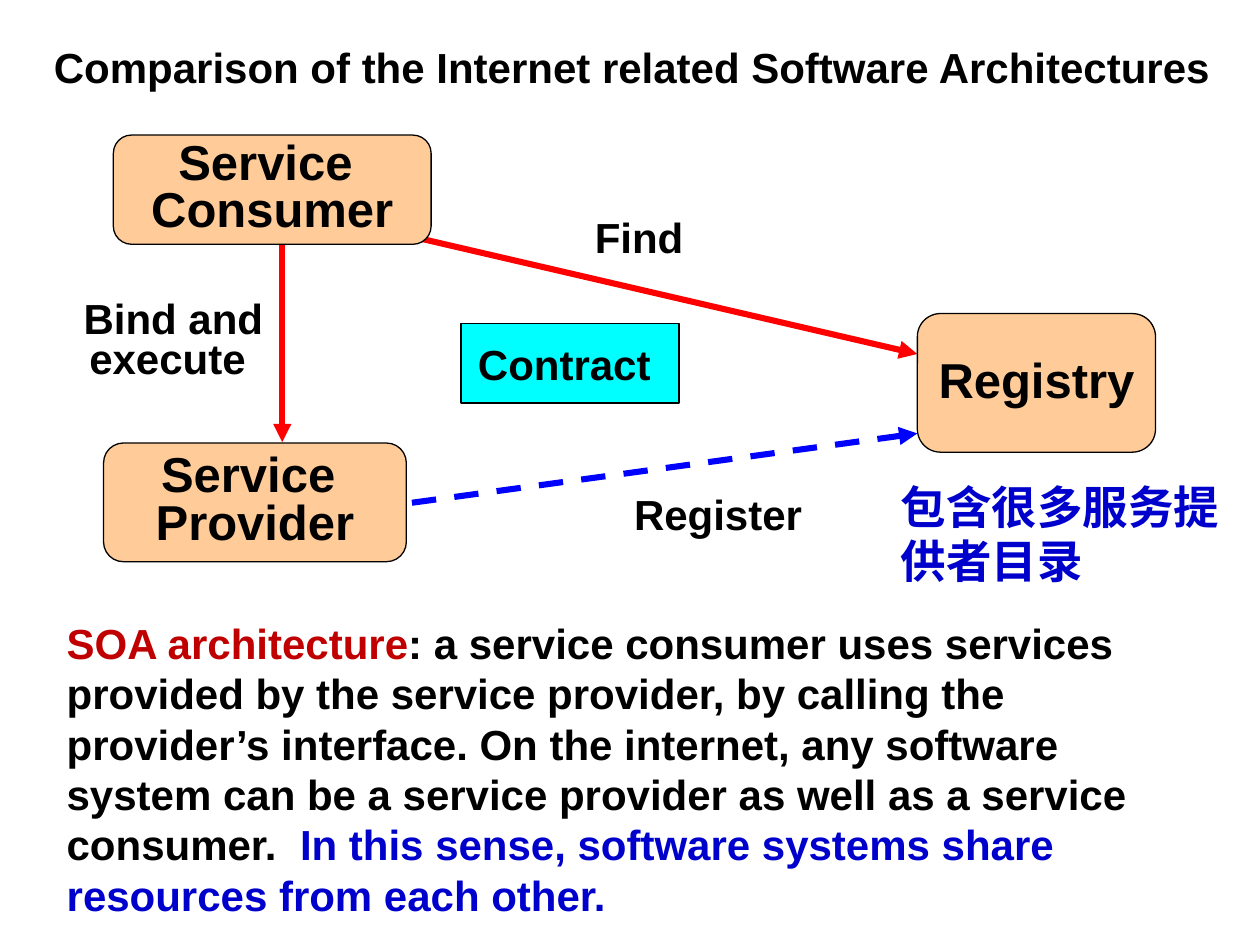
"""Build a slide showing the service-oriented architecture triangle."""
import pptx
import pptx.util
import pptx.dml.color
import pptx.enum.dml
import pptx.enum.shapes
import pptx.enum.text
import pptx.oxml
import pptx.oxml.ns
import lxml.etree

Pt = pptx.util.Pt
Shape = pptx.enum.shapes.MSO_SHAPE
Align = pptx.enum.text.PP_ALIGN
Anchor = pptx.enum.text.MSO_ANCHOR
qn = pptx.oxml.ns.qn

COLORS = {"black": "000000", "cyan": "00FFFF", "peach": "FFCC99", "red": "FF0000",
          "blue": "0000FF", "navy": "0000CC", "crimson": "C00000"}
LATIN, CHINESE = "Arial", "Noto Sans CJK SC"

CONTRACT = ("Contract ", (263.5, 185, 124.6, 45.4))
ARROWS = [
    ((229.7, 133.9), (524.2, 202.3), "red", False),
    ((235.4, 287.3), (524.2, 247.7), "blue", True),
    ((161.3, 133.9), (161.3, 252.7), "red", False),
]
LABELS = [
    ("Find ", (314.6, 117.4, 108, 36), 1),
    ("Register ", (348.5, 275.8, 130.3, 36), 1),
    ("Bind and execute ", (31, 169.2, 136.1, 53.3), 0.8),
]
ROLES = [
    (["Service ", "Consumer"], (64.8, 77.2, 181.6, 62.4), 0.8),
    (["Service ", "Provider"], (59.2, 253.2, 173, 67.8), 0.8),
    (["Registry"], (524.2, 179.2, 136.1, 79.2), 0.9),
]
REGISTRY_NOTE = ("包含很多服务提供者目录", (507.6, 270, 198.7, 69.8))
TITLE = ("Comparison of the Internet related Software Architectures", (22.3, 15.1, 677.5, 50.4))
SUMMARY = [
    ("SOA architecture", "crimson"),
    (": a service consumer uses services provided by the service provider, by calling "
     "the provider’s interface. On the internet, any software system can be a service "
     "provider as well as a service consumer.  ", "black"),
    ("In this sense, software systems share resources from each other.", "navy"),
]
SUMMARY_AREA = (31, 349.2, 635, 180)


def rgb(color):
    return pptx.dml.color.RGBColor.from_string(COLORS[color])


def style(paragraph, size=24, color="black", align=Align.CENTER, spacing=1, face=LATIN):
    paragraph.alignment = align
    paragraph.line_spacing = spacing
    font = paragraph.font
    font.size, font.bold, font.name = Pt(size), True, face
    if color:
        font.color.rgb = rgb(color)
    if face == CHINESE:
        defaults = paragraph._p.pPr.find(qn("a:defRPr"))
        lxml.etree.SubElement(defaults, qn("a:ea")).set("typeface", face)


def add_text(slide, text, area, **look):
    frame = slide.shapes.add_textbox(*map(Pt, area)).text_frame
    frame.word_wrap = True
    frame.text = text
    style(frame.paragraphs[0], **look)
    return frame


def add_box(slide, kind, lines, area, fill, **look):
    box = slide.shapes.add_shape(kind, *map(Pt, area))
    box.shadow.inherit = False
    box.fill.solid()
    box.fill.fore_color.rgb = rgb(fill)
    box.line.color.rgb = rgb("black")
    box.line.width = Pt(0.75)
    frame = box.text_frame
    frame.word_wrap = False
    frame.vertical_anchor = Anchor.MIDDLE
    frame.text = "\n".join(lines)
    for paragraph in frame.paragraphs:
        style(paragraph, **look)


def add_arrow(slide, start, end, color, dashed):
    arrow = slide.shapes.add_connector(
        pptx.enum.shapes.MSO_CONNECTOR.STRAIGHT, *map(Pt, start + end))
    arrow.line.color.rgb = rgb(color)
    arrow.line.width = Pt(3.5)
    if dashed:
        arrow.line.dash_style = pptx.enum.dml.MSO_LINE.DASH
    properties = arrow._element.spPr
    lxml.etree.SubElement(properties.find(qn("a:ln")), qn("a:tailEnd")).set("type", "triangle")
    lxml.etree.SubElement(properties, qn("a:effectLst"))


def main():
    deck = pptx.Presentation()
    deck.slide_width, deck.slide_height = Pt(720), Pt(540)
    slide = deck.slides.add_slide(deck.slide_layouts[6])

    contract, contract_area = CONTRACT
    add_box(slide, Shape.RECTANGLE, [contract], contract_area, "cyan")
    for arrow in ARROWS:
        add_arrow(slide, *arrow)
    for label, area, spacing in LABELS:
        add_text(slide, label, area, spacing=spacing)
    for lines, area, spacing in ROLES:
        add_box(slide, Shape.ROUNDED_RECTANGLE, lines, area, "peach", size=28, spacing=spacing)
    add_text(slide, *REGISTRY_NOTE, size=26, color="navy", align=Align.LEFT, face=CHINESE)

    title = add_text(slide, *TITLE, spacing=0.85)
    title.vertical_anchor = Anchor.MIDDLE
    title.margin_left = title.margin_right = title.margin_top = title.margin_bottom = 0

    summary = add_text(slide, "", SUMMARY_AREA, color=None, align=Align.LEFT)
    for words, color in SUMMARY:
        run = summary.paragraphs[0].add_run()
        run.text = words
        run.font.color.rgb = rgb(color)

    deck.save("out.pptx")


if __name__ == "__main__":
    main()
